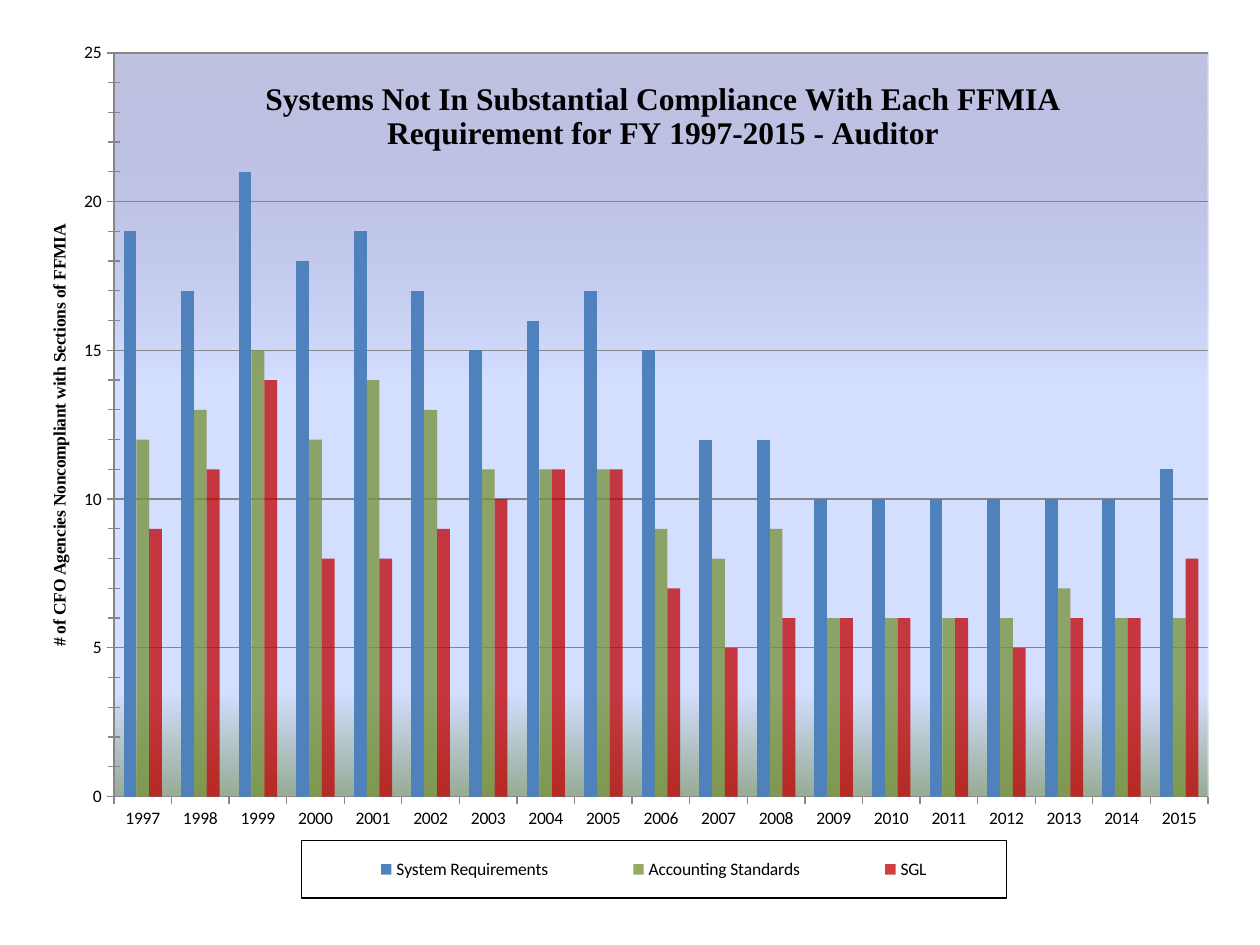
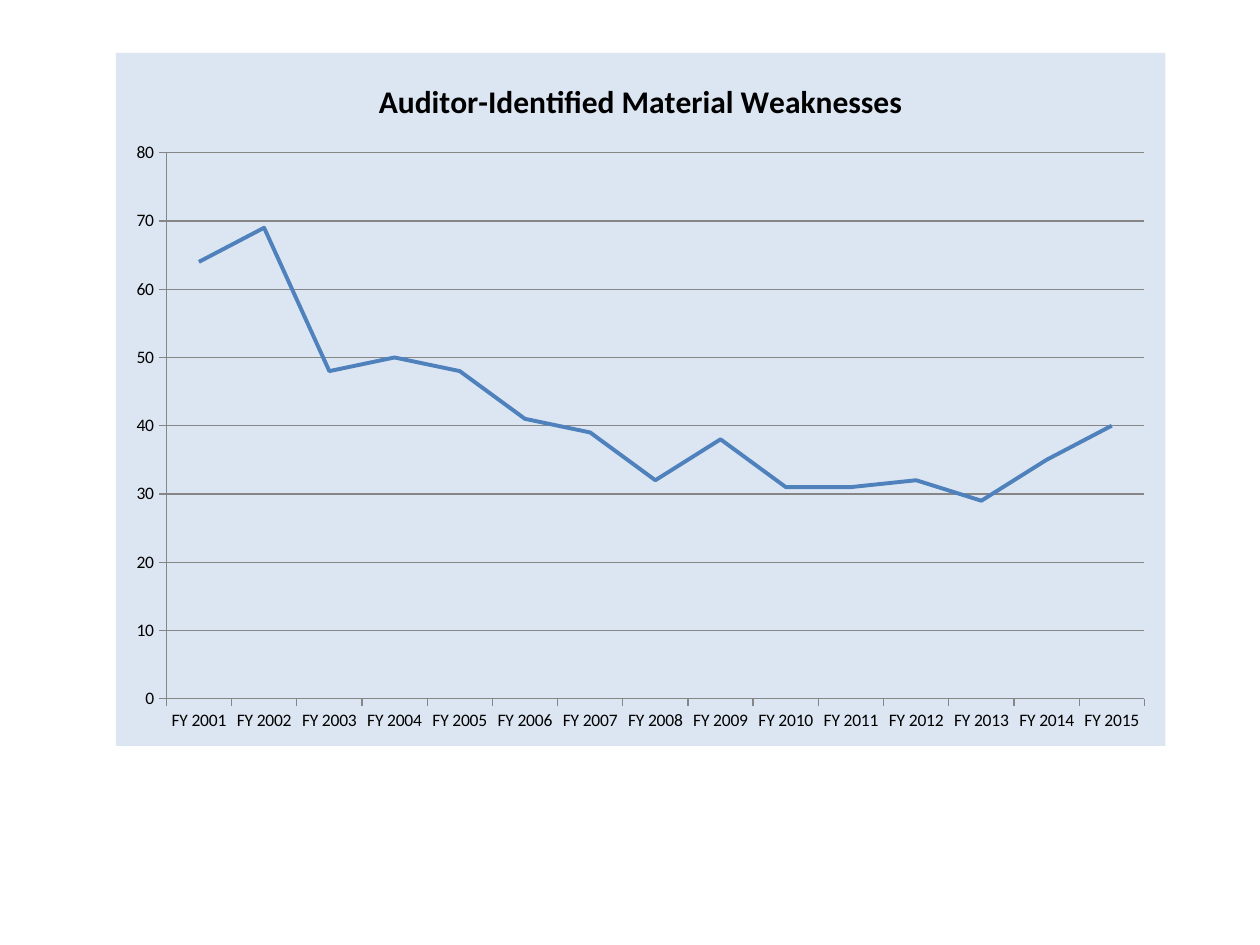
from dataclasses import dataclass

from lxml import etree
from pptx import Presentation
from pptx.chart.data import CategoryChartData
from pptx.dml.color import RGBColor
from pptx.enum.chart import XL_CHART_TYPE, XL_LEGEND_POSITION, XL_TICK_MARK
from pptx.oxml import parse_xml
from pptx.oxml.ns import nsdecls, qn
from pptx.util import Inches, Pt

COLUMNS, LINE = XL_CHART_TYPE.COLUMN_CLUSTERED, XL_CHART_TYPE.LINE
LEGEND_BOTTOM = XL_LEGEND_POSITION.BOTTOM
TICK_OUT, TICK_CROSS = XL_TICK_MARK.OUTSIDE, XL_TICK_MARK.CROSS


@dataclass(frozen=True)
class Theme:
    body_font: str = "Calibri"
    heading_font: str = "Times New Roman"
    text: str = "000000"
    axis: str = "868686"
    blue: str = "4F81BD"
    green: str = "77933C"
    red: str = "C00000"
    panel: str = "DCE6F2"
    sky: tuple = ((0, "8488C4", 50), (44, "D4DEFF", 100),
                  (86, "D4DEFF", 100), (100, "96AB94", 100))
    title_size: int = 18
    label_size: int = 10
    trend_width: float = 2.25


THEME = Theme()

# Content: (name, values, colour, opacity in percent)
COMPLIANCE = {
    "title": "Systems Not In Substantial Compliance With Each FFMIA "
             "Requirement for FY 1997-2015 - Auditor",
    "axis_title": "# of CFO Agencies Noncompliant with Sections of FFMIA",
    "years": [str(year) for year in range(1997, 2016)],
    "series": [
        ("System Requirements",
         (19, 17, 21, 18, 19, 17, 15, 16, 17, 15, 12, 12, 10, 10, 10, 10, 10, 10, 11),
         THEME.blue, 100),
        ("Accounting Standards",
         (12, 13, 15, 12, 14, 13, 11, 11, 11, 9, 8, 9, 6, 6, 6, 6, 7, 6, 6),
         THEME.green, 78),
        ("SGL",
         (9, 11, 14, 8, 8, 9, 10, 11, 11, 7, 5, 6, 6, 6, 6, 5, 6, 6, 8),
         THEME.red, 75),
    ],
    "box": (0.26, 0.31, 9.48, 6.88),
    "plot": (0.068, 0.016, 0.916, 0.858),
    "scale": (25, 5),
}
WEAKNESSES = {
    "title": "Auditor-Identified Material Weaknesses",
    "years": [f"FY {year}" for year in range(2001, 2016)],
    "series": [
        ("Auditor-Identified Material Weaknesses",
         (64, 69, 48, 50, 48, 41, 39, 32, 38, 31, 31, 32, 29, 35, 40),
         THEME.blue, 100),
    ],
    "box": (0.92, 0.42, 8.33, 5.5),
    "plot": (0.048, 0.144, 0.932, 0.788),
    "scale": (80, 10),
}


def rgb(value):
    return RGBColor.from_string(value)


def write_text(frame, text, font=THEME.body_font, size=THEME.label_size, bold=True):
    frame.text = text
    style = frame.paragraphs[0].runs[0].font
    style.name, style.size, style.bold = font, Pt(size), bold
    style.color.rgb = rgb(THEME.text)


def place(part, x, y, w=None, h=None, after=None, inner=False):
    """Place a chart part by fractions of the chart's size."""
    for old in part.findall(qn("c:layout")):
        part.remove(old)
    layout = etree.Element(qn("c:layout"))
    manual = etree.SubElement(layout, qn("c:manualLayout"))
    settings = [("layoutTarget", "inner")] if inner else []
    settings += [("xMode", "edge"), ("yMode", "edge"), ("x", x), ("y", y)]
    settings += [(key, size) for key, size in (("w", w), ("h", h)) if size]
    for key, value in settings:
        etree.SubElement(manual, qn(f"c:{key}")).set("val", str(value))
    if after:
        part.find(qn(after)).addnext(layout)
    else:
        part.insert(0, layout)


def solid(color):
    return f'<a:solidFill><a:srgbClr val="{color}"/></a:solidFill>'


def gradient(stops):
    marks = "".join(
        f'<a:gs pos="{position * 1000}"><a:srgbClr val="{color}">'
        f'<a:alpha val="{opacity * 1000}"/></a:srgbClr></a:gs>'
        for position, color, opacity in stops)
    return f'<a:gradFill><a:gsLst>{marks}</a:gsLst><a:lin ang="5400000" scaled="0"/></a:gradFill>'


def surface(fill="<a:noFill/>", line="<a:noFill/>"):
    return parse_xml(f'<c:spPr {nsdecls("c", "a")}>{fill}<a:ln w="9525">{line}</a:ln></c:spPr>')


def style_axes(chart, scale):
    for axis in (chart.category_axis, chart.value_axis):
        axis.major_tick_mark = TICK_OUT
        axis.format.line.color.rgb = rgb(THEME.axis)
    values = chart.value_axis
    values.minimum_scale = 0
    values.maximum_scale, values.major_unit = scale
    values.has_major_gridlines = True
    values.major_gridlines.format.line.color.rgb = rgb(THEME.axis)


def add_chart_slide(deck, kind, content, plot_fill, title_font, panel="<a:noFill/>"):
    slide = deck.slides.add_slide(deck.slide_layouts[6])
    data = CategoryChartData()
    data.categories = content["years"]
    for name, values, _, _ in content["series"]:
        data.add_series(name, values)
    box = [Inches(length) for length in content["box"]]
    chart = slide.shapes.add_chart(kind, *box, data).chart

    # Text, axes and backgrounds
    chart.font.name, chart.font.size = THEME.body_font, Pt(THEME.label_size)
    chart.font.color.rgb = rgb(THEME.text)
    chart.has_legend = False
    chart.has_title = True
    write_text(chart.chart_title.text_frame, content["title"],
               font=title_font, size=THEME.title_size)
    style_axes(chart, content["scale"])
    root = chart._chartSpace.find(qn("c:chart"))
    root.addnext(surface(panel))
    plot_area = root.find(qn("c:plotArea"))
    place(plot_area, *content["plot"], inner=True)
    plot_area.append(surface(plot_fill))

    # Series colours
    chart.plots[0].vary_by_categories = False
    for series, (_, _, color, opacity) in zip(chart.plots[0].series, content["series"]):
        if kind == LINE:
            series.smooth = False
            series.format.line.width = Pt(THEME.trend_width)
            series.format.line.color.rgb = rgb(color)
            continue
        series.invert_if_negative = False
        series.format.fill.solid()
        series.format.fill.fore_color.rgb = rgb(color)
        if opacity < 100:
            tint = next(series._element.iter(qn("a:srgbClr")))
            etree.SubElement(tint, qn("a:alpha")).set("val", str(opacity * 1000))
    return chart


def add_compliance(deck):
    chart = add_chart_slide(deck, COLUMNS, COMPLIANCE, gradient(THEME.sky),
                            THEME.heading_font)
    chart.plots[0].gap_width = 150

    # Title over the plot
    title = chart.chart_title._element
    place(title, 0.19, 0.04, after="c:tx")
    title.find(qn("c:overlay")).set("val", "1")

    # Value axis with unit ticks and an upright title
    values = chart.value_axis
    values.minor_unit, values.minor_tick_mark = 1, TICK_CROSS
    write_text(values.axis_title.text_frame, COMPLIANCE["axis_title"],
               font=THEME.heading_font)
    axis_title = values.axis_title._element
    place(axis_title, 0.01, 0.21, after="c:tx")
    body = next(axis_title.iter(qn("a:bodyPr")))
    body.set("rot", "-5400000")
    body.set("vert", "horz")

    # Framed legend
    chart.has_legend = True
    chart.legend.position = LEGEND_BOTTOM
    chart.legend.include_in_layout = False
    legend = chart.legend._element
    place(legend, 0.225, 0.925, 0.59, 0.066, after="c:legendPos")
    legend.find(qn("c:overlay")).addnext(surface(line=solid(THEME.text)))


def main():
    deck = Presentation()
    deck.slide_width, deck.slide_height = Inches(10), Inches(7.5)
    add_compliance(deck)
    add_chart_slide(deck, LINE, WEAKNESSES, solid(THEME.panel),
                    THEME.body_font, panel=solid(THEME.panel))
    deck.save("out.pptx")


if __name__ == "__main__":
    main()
